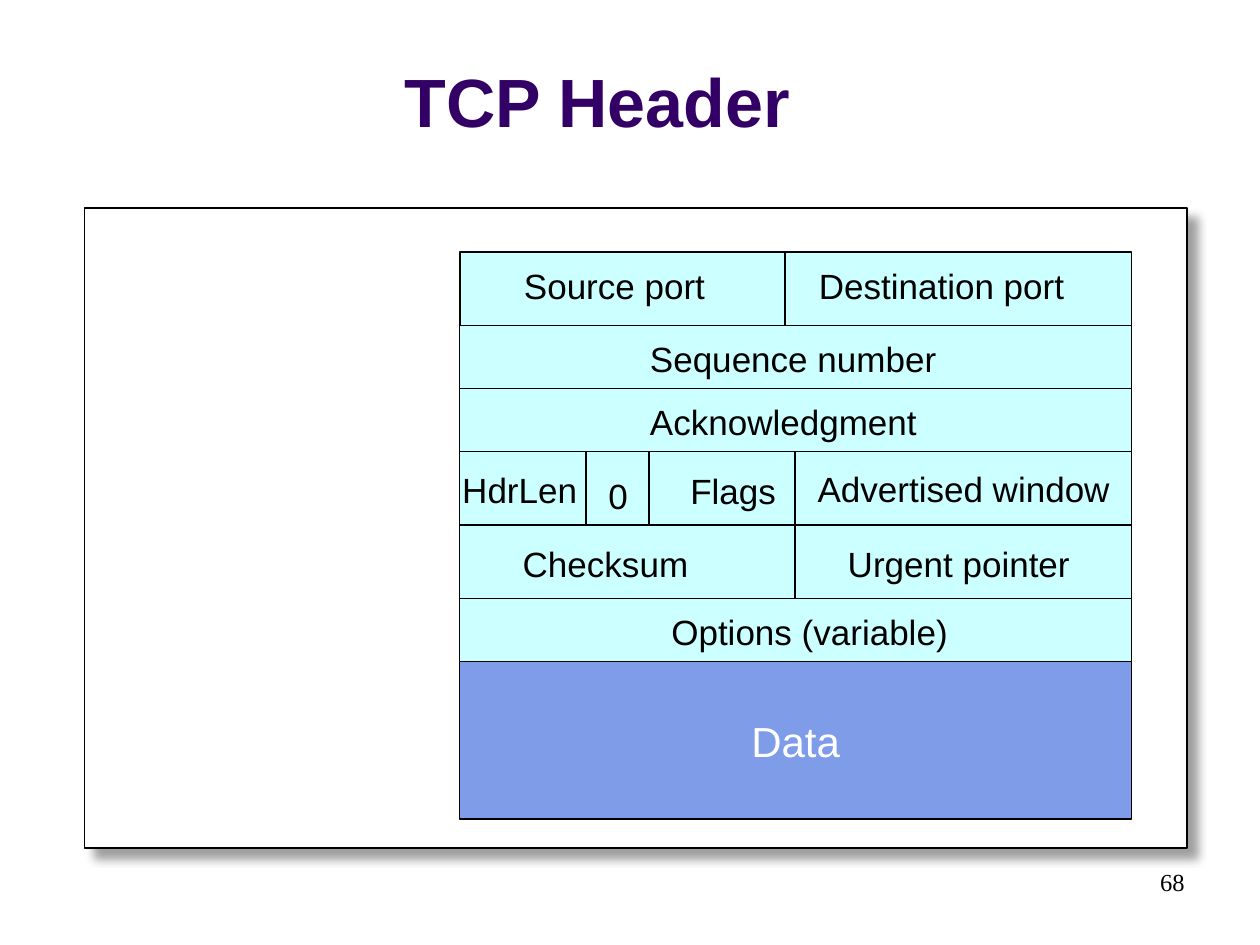
from dataclasses import dataclass
from itertools import accumulate

from lxml.etree import SubElement
from pptx import Presentation
from pptx.dml.color import RGBColor
from pptx.enum.shapes import MSO_CONNECTOR, MSO_SHAPE
from pptx.enum.text import MSO_ANCHOR, MSO_AUTO_SIZE, PP_ALIGN
from pptx.oxml.ns import qn
from pptx.util import Inches, Pt


@dataclass(frozen=True)
class Theme:
    """Colours, fonts and type sizes of the slide."""
    black: str = "000000"
    white: str = "FFFFFF"
    title: str = "330066"
    header: str = "CCFFFF"
    data: str = "7E9CE8"
    shadow: str = "808080"
    sans: str = "Arial"
    serif: str = "Times New Roman"
    title_size: int = 39
    data_size: int = 24
    label_size: int = 20
    number_size: int = 14
    line_width: float = 0.75


@dataclass(frozen=True)
class Row:
    """One row of the header, split at the given inner edges."""
    height: float
    splits: tuple = ()


@dataclass(frozen=True)
class Label:
    """A field name and its box."""
    text: str
    left: float
    top: float
    width: float
    filled: bool = True


THEME = Theme()
LEFT, RIGHT, TOP = 3.65, 8.98, 2
TALL, SHORT, DATA_HEIGHT = 7 / 12, 0.5, 1.25
LABEL_HEIGHT, LABEL_SLACK = 0.43, 0.04
MIDDLE = 6.31
ROWS = (
    Row(TALL, (6.23,)),
    Row(SHORT),
    Row(SHORT),
    Row(TALL, (MIDDLE,)),
    Row(TALL, (MIDDLE,)),
    Row(SHORT),
)
ROW_TOPS = tuple(accumulate((row.height for row in ROWS), initial=TOP))
LABELS = (
    Label("Source port", 4.06, 2.05, 1.64),
    Label("Destination port", 6.4, 2.05, 2.15),
    Label("Sequence number", 5.06, 2.63, 2.47),
    Label("Acknowledgment", 5.06, 3.13, 2.32),
    Label("Advertised window", 6.39, 3.66, 2.52),
    Label("HdrLen", 3.57, 3.67, 1.17, False),
    Label("Flags", 5.38, 3.68, 0.88),
    Label("0", 4.73, 3.72, 0.36),
    Label("Checksum", 4.05, 4.26, 1.51),
    Label("Urgent pointer", 6.63, 4.26, 1.96),
    Label("Options (variable)", 5.23, 4.8, 2.39),
)


def write(shape, text: str, size: int, colour: str, align=PP_ALIGN.LEFT,
          font: str = THEME.sans, bold: bool = False) -> None:
    """Write one run of formatted text into a shape."""
    paragraph = shape.text_frame.paragraphs[0]
    paragraph.alignment = align
    run = paragraph.add_run()
    run.text = text
    run.font.name, run.font.size, run.font.bold = font, Pt(size), bold
    run.font.color.rgb = RGBColor.from_string(colour)


def add_box(slide, left: float, top: float, width: float, height: float,
            colour: str, outlined: bool = True):
    """Add a flat rectangle."""
    shape = slide.shapes.add_shape(
        MSO_SHAPE.RECTANGLE, Inches(left), Inches(top), Inches(width), Inches(height))
    shape.shadow.inherit = False
    shape.fill.solid()
    shape.fill.fore_color.rgb = RGBColor.from_string(colour)
    if outlined:
        shape.line.color.rgb = RGBColor.from_string(THEME.black)
        shape.line.width = Pt(THEME.line_width)
    else:
        shape.line.fill.background()
    return shape


def add_shadow(shape) -> None:
    """Cast a soft shadow to the lower right."""
    effects = shape._element.spPr.find(qn("a:effectLst"))
    shadow = SubElement(effects, qn("a:outerShdw"), blurRad=str(Pt(5)),
                        dist=str(Pt(8.5)), dir=str(45 * 60000), rotWithShape="0")
    colour = SubElement(shadow, qn("a:srgbClr"), val=THEME.shadow)
    SubElement(colour, qn("a:alpha"), val="75000")


def add_divider(slide, x: float, top: float, bottom: float) -> None:
    """Add a vertical line between two fields."""
    line = slide.shapes.add_connector(
        MSO_CONNECTOR.STRAIGHT, Inches(x), Inches(top), Inches(x), Inches(bottom))
    line.line.color.rgb = RGBColor.from_string(THEME.black)
    line.line.width = Pt(THEME.line_width)
    SubElement(line._element.spPr, qn("a:effectLst"))


def add_label(slide, label: Label) -> None:
    """Add a field name, with slack so that it stays on one line."""
    width = label.width + LABEL_SLACK
    if label.filled:
        shape = add_box(slide, label.left, label.top, width, LABEL_HEIGHT,
                        THEME.header, outlined=False)
    else:
        shape = slide.shapes.add_textbox(Inches(label.left), Inches(label.top),
                                         Inches(width), Inches(LABEL_HEIGHT))
    frame = shape.text_frame
    frame.word_wrap = not label.filled
    frame.auto_size = MSO_AUTO_SIZE.SHAPE_TO_FIT_TEXT
    frame.vertical_anchor = MSO_ANCHOR.TOP
    write(shape, label.text, THEME.label_size, THEME.black)


def add_title(slide) -> None:
    """Place and format the title."""
    title = slide.shapes.title
    title.left, title.top = Inches(0.33), Inches(0.42)
    title.width, title.height = Inches(8.82), Inches(0.75)
    title.text_frame.vertical_anchor = MSO_ANCHOR.BOTTOM
    title.text_frame.auto_size = MSO_AUTO_SIZE.NONE
    write(title, "TCP Header", THEME.title_size, THEME.title, PP_ALIGN.CENTER, bold=True)


def add_header(slide) -> None:
    """Draw the header fields and the data block."""
    for row, top in zip(ROWS, ROW_TOPS):
        edges = (LEFT, *row.splits, RIGHT)
        for left, right in zip(edges, edges[1:]):
            add_box(slide, left, top, right - left, row.height, THEME.header)
    for x in (4.65, 5.15):
        add_divider(slide, x, ROW_TOPS[3], ROW_TOPS[4])
    for label in LABELS:
        add_label(slide, label)
    data = add_box(slide, LEFT, ROW_TOPS[-1], RIGHT - LEFT, DATA_HEIGHT, THEME.data)
    data.text_frame.word_wrap = False
    data.text_frame.vertical_anchor = MSO_ANCHOR.MIDDLE
    write(data, "Data", THEME.data_size, THEME.white, PP_ALIGN.CENTER)


def main() -> None:
    """Build and save the slide."""
    presentation = Presentation()
    presentation.slide_width, presentation.slide_height = Inches(10), Inches(7.5)
    slide = presentation.slides.add_slide(presentation.slide_layouts[5])
    add_title(slide)
    add_shadow(add_box(slide, 0.67, 1.65, 8.75, 5.08, THEME.white))
    add_header(slide)
    number = slide.shapes.add_textbox(Inches(7.17), Inches(6.83), Inches(2.33), Inches(0.5))
    number.text_frame.word_wrap = True
    write(number, "68", THEME.number_size, THEME.black, PP_ALIGN.RIGHT, THEME.serif)
    presentation.save("out.pptx")


main()
